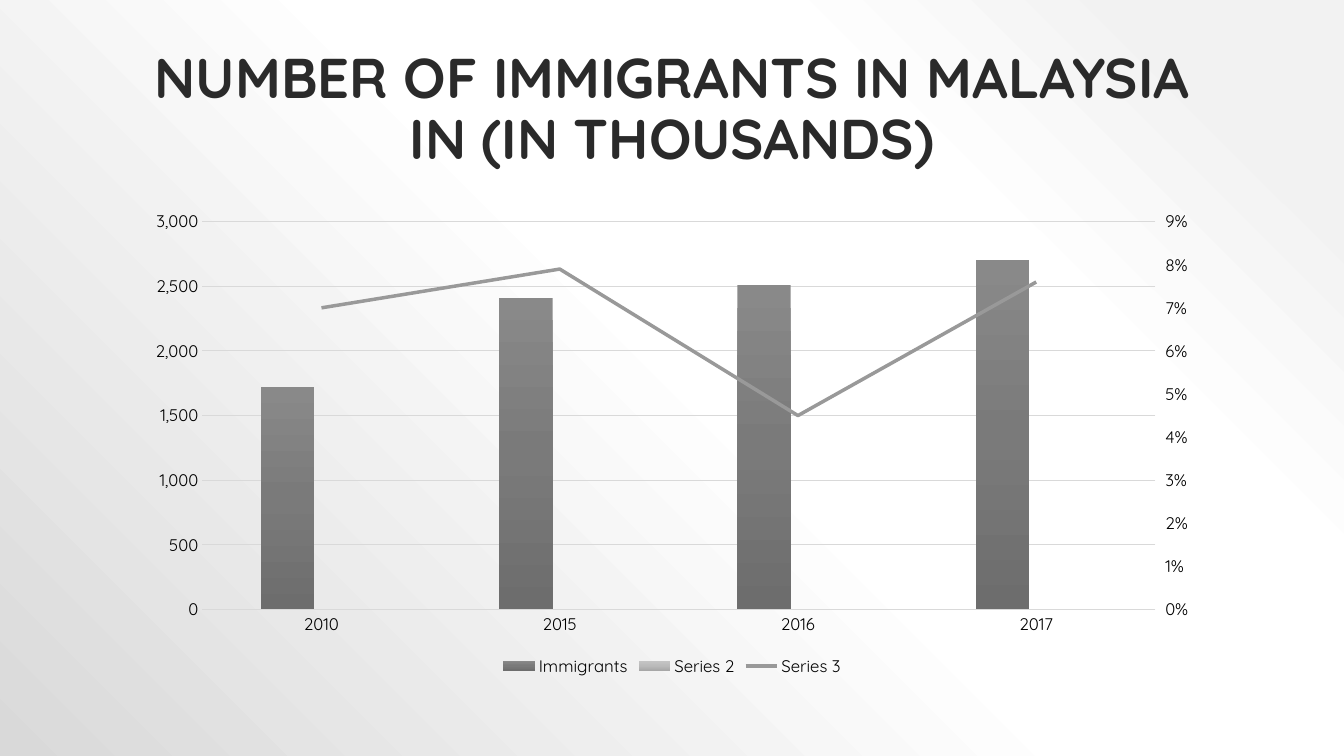
from copy import deepcopy
from pptx import Presentation
from pptx.chart.axis import ValueAxis
from pptx.chart.data import CategoryChartData
from pptx.dml.color import RGBColor
from pptx.enum.chart import XL_CHART_TYPE, XL_LEGEND_POSITION, XL_MARKER_STYLE, XL_TICK_MARK
from pptx.enum.text import MSO_ANCHOR, MSO_AUTO_SIZE, PP_ALIGN
from pptx.oxml import parse_xml
from pptx.oxml.ns import nsdecls, qn
from pptx.util import Inches, Pt

FONT = "Quicksand"
INK = RGBColor(0x2A, 0x2A, 0x2A)
BLACK = RGBColor(0x00, 0x00, 0x00)
TEXT_GREY = RGBColor(0x54, 0x54, 0x54)
GRID_GREY = RGBColor(0xD9, 0xD9, 0xD9)
LINE_GREY = RGBColor(0x99, 0x99, 0x99)
WHITE = RGBColor(0xFF, 0xFF, 0xFF)
PALE = RGBColor(0xF2, 0xF2, 0xF2)
BACKDROP = [(10, PALE), (28, WHITE), (48, WHITE), (100, GRID_GREY)]
DARK_BARS = [(0, RGBColor(0x89, 0x89, 0x89)), (50, RGBColor(0x7A, 0x7A, 0x7A)),
             (100, RGBColor(0x6D, 0x6D, 0x6D))]
LIGHT_BARS = [(0, RGBColor(0xC4, 0xC4, 0xC4)), (50, RGBColor(0xBB, 0xBB, 0xBB)),
              (100, RGBColor(0xA7, 0xA7, 0xA7))]
RADIAL = '<a:path path="circle"><a:fillToRect l="100000" b="100000"/></a:path>'
DOWNWARD = '<a:lin ang="5400000" scaled="0"/>'


def set_gradient(fill, props, stops, shade):
    """Give a properties element a gradient with any number of stops."""
    fill.solid()
    gs = "".join(f'<a:gs pos="{pos * 1000}"><a:srgbClr val="{color}"/></a:gs>'
                 for pos, color in stops)
    grad = parse_xml(f'<a:gradFill {nsdecls("a")} rotWithShape="1">'
                     f'<a:gsLst>{gs}</a:gsLst>{shade}</a:gradFill>')
    props().replace(props().find(qn("a:solidFill")), grad)


def set_font(font, size, color, bold=None):
    font.name, font.size, font.bold = FONT, Pt(size), bold
    font.color.rgb = color


def add_background(slide):
    set_gradient(slide.background.fill, lambda: slide.element.xpath(".//p:bgPr")[0],
                 BACKDROP, RADIAL)


def add_title(slide, left, top, width, height):
    sp = slide.shapes.title
    sp.left, sp.top, sp.width, sp.height = left, top, width, height
    tf = sp.text_frame
    tf.auto_size = MSO_AUTO_SIZE.NONE
    tf.word_wrap = True
    tf.vertical_anchor = MSO_ANCHOR.BOTTOM
    p = tf.paragraphs[0]
    p.text = "NUMBER OF IMMIGRANTS IN MALAYSIA IN (IN THOUSANDS)"
    p.alignment = PP_ALIGN.CENTER
    p.line_spacing = 0.9
    set_font(p.runs[0].font, 40, INK, True)


def move_to_line(chart):
    """Draw the last series as a line against a percentage axis on the right."""
    bar_plot = chart.plots[0]._element
    plot_area = bar_plot.getparent()
    ser = bar_plot.findall(qn("c:ser"))[-1]
    for flag in ser.findall(qn("c:invertIfNegative")):
        ser.remove(flag)
    line_plot = parse_xml(
        f'<c:lineChart {nsdecls("c")}><c:grouping val="standard"/><c:varyColors val="0"/>'
        '<c:marker val="1"/><c:axId val="501"/><c:axId val="502"/></c:lineChart>')
    line_plot.insert(2, ser)
    bar_plot.addnext(line_plot)

    # Second pair of axes
    right = deepcopy(chart.value_axis._element)
    hidden = deepcopy(chart.category_axis._element)
    for ax, own, other in ((right, "502", "501"), (hidden, "501", "502")):
        ax.find(qn("c:axId")).set("val", own)
        ax.find(qn("c:crossAx")).set("val", other)
    plot_area.findall(qn("c:valAx"))[-1].addnext(right)
    right.addnext(hidden)
    hidden.find(qn("c:delete")).set("val", "1")
    right.find(qn("c:axPos")).set("val", "r")
    right.find(qn("c:crosses")).set("val", "max")
    axis = ValueAxis(right)
    axis.has_major_gridlines = False
    axis.major_tick_mark = XL_TICK_MARK.CROSS
    axis.maximum_scale, axis.major_unit = 0.09, 0.01
    axis.tick_labels.number_format = "0%"

    s = chart.plots[1].series[0]
    s.smooth = False
    s.marker.style = XL_MARKER_STYLE.NONE
    s.format.line.color.rgb = LINE_GREY
    s.format.line.width = Pt(2.5)


def add_immigrant_chart(slide, left, top, width, height):
    data = CategoryChartData()
    data.categories = ["2010", "2015", "2016", "2017"]
    data.add_series("Immigrants", (1720, 2410, 2510, 2700), "#,##0")
    data.add_series("Series 2", (None,) * 4)
    data.add_series("Series 3", (0.07, 0.079, 0.045, 0.076), "0%")
    chart = slide.shapes.add_chart(XL_CHART_TYPE.COLUMN_CLUSTERED,
                                   left, top, width, height, data).chart
    chart.has_title = False
    set_font(chart.font, 10, TEXT_GREY)

    # Legend
    chart.has_legend = True
    chart.legend.position = XL_LEGEND_POSITION.BOTTOM
    chart.legend.include_in_layout = False
    set_font(chart.legend.font, 12, BLACK)

    # Main axes
    cat_axis, val_axis = chart.category_axis, chart.value_axis
    for axis in (cat_axis, val_axis):
        axis.major_tick_mark = axis.minor_tick_mark = XL_TICK_MARK.NONE
        set_font(axis.tick_labels.font, 12, BLACK)
    val_axis.minimum_scale, val_axis.maximum_scale, val_axis.major_unit = 0, 3000, 500
    val_axis.tick_labels.number_format = "#,##0"
    val_axis.tick_labels.number_format_is_linked = False
    val_axis.format.line.fill.background()
    for line in (cat_axis.format.line, val_axis.major_gridlines.format.line):
        line.color.rgb = GRID_GREY
        line.width = Pt(0.75)

    # Columns and line
    plot = chart.plots[0]
    plot.gap_width, plot.overlap, plot.vary_by_categories = 219, -27, False
    move_to_line(chart)
    for s, stops in zip(chart.plots[0].series, (DARK_BARS, LIGHT_BARS)):
        s.invert_if_negative = False
        set_gradient(s.format.fill, lambda: s._element.find(qn("c:spPr")), stops, DOWNWARD)


def main():
    prs = Presentation()
    prs.slide_width, prs.slide_height = Inches(13.33), Inches(7.5)
    slide = prs.slides.add_slide(prs.slide_layouts[5])
    left, width = Inches(1.33), Inches(10.67)
    add_background(slide)
    add_title(slide, left, Inches(0.3), width, Inches(1.45))
    add_immigrant_chart(slide, left, Inches(2), width, Inches(4.75))
    prs.save("out.pptx")


if __name__ == "__main__":
    main()
